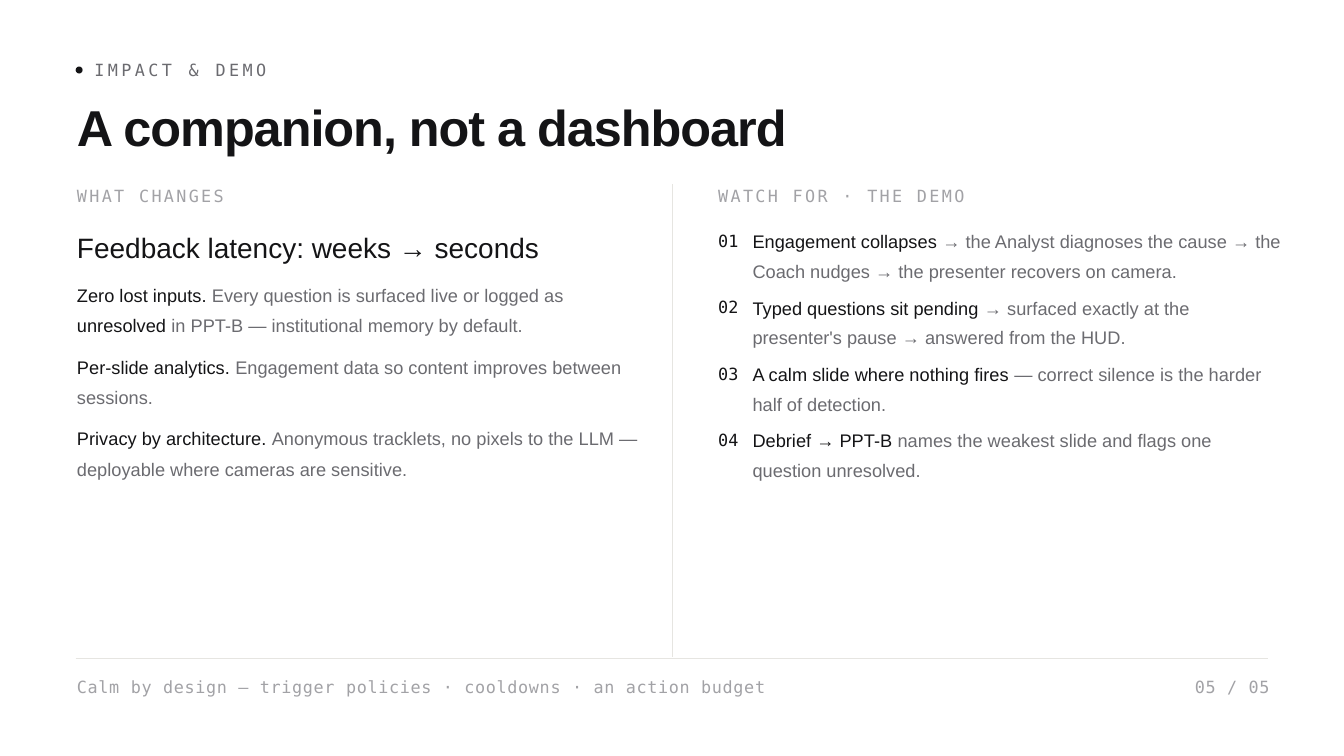
from dataclasses import dataclass

from lxml import etree
from pptx import Presentation
from pptx.dml.color import RGBColor
from pptx.enum.shapes import MSO_CONNECTOR, MSO_SHAPE
from pptx.enum.text import MSO_ANCHOR, MSO_AUTO_SIZE, PP_ALIGN
from pptx.oxml.ns import qn
from pptx.util import Emu, Pt

STRAIGHT = MSO_CONNECTOR.STRAIGHT
OVAL = MSO_SHAPE.OVAL
TOP = MSO_ANCHOR.TOP
NO_AUTOFIT = MSO_AUTO_SIZE.NONE
LEFT = PP_ALIGN.LEFT
EMU_PER_PX = 9525
TWO_CONTENT_LAYOUT = 3


@dataclass(frozen=True)
class Theme:
    """Colours, fonts and type sizes of the slide."""
    ink: str = "141416"
    muted: str = "6B6B70"
    faint: str = "A2A2A6"
    rule: str = "E6E5E1"
    sans: str = "Arial"
    mono: str = "DejaVu Sans Mono"
    title: float = 54
    lead: float = 30
    body: float = 19.5
    label: float = 18


THEME = Theme()

CLAIMS = [
    [("Zero lost inputs. ", THEME.ink),
     ("Every question is surfaced live or logged as ", THEME.muted),
     ("unresolved ", THEME.ink),
     ("in PPT-B — institutional memory by default.", THEME.muted)],
    [("Per-slide analytics. ", THEME.ink),
     ("Engagement data so content improves between sessions.", THEME.muted)],
    [("Privacy by architecture. ", THEME.ink),
     ("Anonymous tracklets, no pixels to the LLM — deployable where cameras "
      "are sensitive.", THEME.muted)],
]

DEMO_STEPS = [
    [("Engagement collapses ", THEME.ink),
     ("→ the Analyst diagnoses the cause → the Coach nudges → the presenter "
      "recovers on camera.", THEME.muted)],
    [("Typed questions sit pending ", THEME.ink),
     ("→ surfaced exactly at the presenter's pause → answered from the HUD.",
      THEME.muted)],
    [("A calm slide where nothing fires ", THEME.ink),
     ("— correct silence is the harder half of detection.", THEME.muted)],
    [("Debrief → PPT-B ", THEME.ink),
     ("names the weakest slide and flags one question unresolved.",
      THEME.muted)],
]


def px(value):
    """Turn pixels into EMU."""
    return Emu(value * EMU_PER_PX)


def add_run(paragraph, text, font=THEME.sans, size=THEME.body,
            color=THEME.ink, bold=False, tracking=0):
    """Append formatted text to a paragraph."""
    run = paragraph.add_run()
    run.text = text
    run.font.name = font
    run.font.size = Pt(size)
    run.font.bold = bold
    run.font.color.rgb = RGBColor.from_string(color)
    if tracking:
        run.font._element.set("spc", str(round(tracking * 100)))


def place(shape, left, top, width, height):
    """Position a text shape and clear its margins."""
    shape.left, shape.top = px(left), px(top)
    shape.width, shape.height = px(width), px(height)
    frame = shape.text_frame
    frame.margin_left = frame.margin_right = 0
    frame.margin_top = frame.margin_bottom = 0
    frame.word_wrap = True
    frame.auto_size = NO_AUTOFIT
    frame.vertical_anchor = TOP
    return frame


def set_spacing(paragraph, line, before=0):
    """Left-align a paragraph and set its spacing in points."""
    paragraph.alignment = LEFT
    paragraph.line_spacing = Pt(line)
    paragraph.space_before = Pt(before)
    paragraph.space_after = Pt(0)


def fill_title(slide, text):
    """Fill the title placeholder."""
    paragraph = place(slide.shapes.title, 110, 134, 1750, 80).paragraphs[0]
    set_spacing(paragraph, 67.4)
    add_run(paragraph, text, size=THEME.title, bold=True, tracking=-1.1)


def fill_list(placeholder, items, box, line, gap):
    """Fill a body placeholder with multi-coloured paragraphs."""
    frame = place(placeholder, *box)
    for index, parts in enumerate(items):
        paragraph = frame.add_paragraph() if index else frame.paragraphs[0]
        properties = paragraph._p.get_or_add_pPr()
        properties.set("marL", "0")
        properties.set("indent", "0")
        etree.SubElement(properties, qn("a:buNone"))
        set_spacing(paragraph, line, gap if index else 0)
        for text, color in parts:
            add_run(paragraph, text, color=color)


def add_text(slide, text, left, top, width, height=31, line=21.6, **style):
    """Add a one-line text box."""
    box = slide.shapes.add_textbox(0, 0, 0, 0)
    paragraph = place(box, left, top, width, height).paragraphs[0]
    set_spacing(paragraph, line)
    add_run(paragraph, text, **style)


def add_label(slide, text, left, top, width, color=THEME.faint, tracking=0):
    """Add a monospaced label."""
    add_text(slide, text, left, top, width, font=THEME.mono,
             size=THEME.label, color=color, tracking=tracking)


def add_rule(slide, start_x, start_y, end_x, end_y):
    """Add a hairline."""
    line = slide.shapes.add_connector(
        STRAIGHT, px(start_x), px(start_y), px(end_x), px(end_y))
    line.line.width = px(1)
    line.line.color.rgb = RGBColor.from_string(THEME.rule)
    etree.SubElement(line._element.spPr, qn("a:effectLst"))


def add_dot(slide, left, top, size):
    """Add the round marker before the section name."""
    dot = slide.shapes.add_shape(OVAL, px(left), px(top), px(size), px(size))
    dot.shadow.inherit = False
    dot.fill.solid()
    dot.fill.fore_color.rgb = RGBColor.from_string(THEME.ink)
    dot.line.fill.background()


def main():
    """Build the slide and save it."""
    presentation = Presentation()
    presentation.slide_width, presentation.slide_height = px(1920), px(1080)
    layout = presentation.slide_layouts[TWO_CONTENT_LAYOUT]
    slide = presentation.slides.add_slide(layout)

    add_dot(slide, 108, 95, 10)
    add_label(slide, "IMPACT & DEMO", 135, 86, 280, THEME.muted, 3.6)
    fill_title(slide, "A companion, not a dashboard")

    add_label(slide, "WHAT CHANGES", 110, 266, 805, tracking=2.5)
    add_text(slide, "Feedback latency: weeks → seconds", 110, 321, 805, 52,
             line=41.8, size=THEME.lead)
    fill_list(slide.placeholders[1], CLAIMS, (110, 393, 805, 288), 32.8, 11.5)

    add_rule(slide, 960, 263, 960, 939)
    add_label(slide, "WATCH FOR · THE DEMO", 1026, 266, 806, tracking=2.5)
    for index in range(len(DEMO_STEPS)):
        add_label(slide, f"{index + 1:02}", 1026, 329 + index * 95, 36,
                  THEME.ink)
    fill_list(slide.placeholders[2], DEMO_STEPS, (1075, 318, 757, 364),
              31.8, 7.5)

    add_rule(slide, 108, 940, 1812, 940)
    add_label(slide, "Calm by design — trigger policies · cooldowns · "
              "an action budget", 110, 967, 1010, tracking=0.7)
    add_label(slide, "05 / 05", 1707, 967, 120, tracking=0.7)
    presentation.save("out.pptx")


if __name__ == "__main__":
    main()
